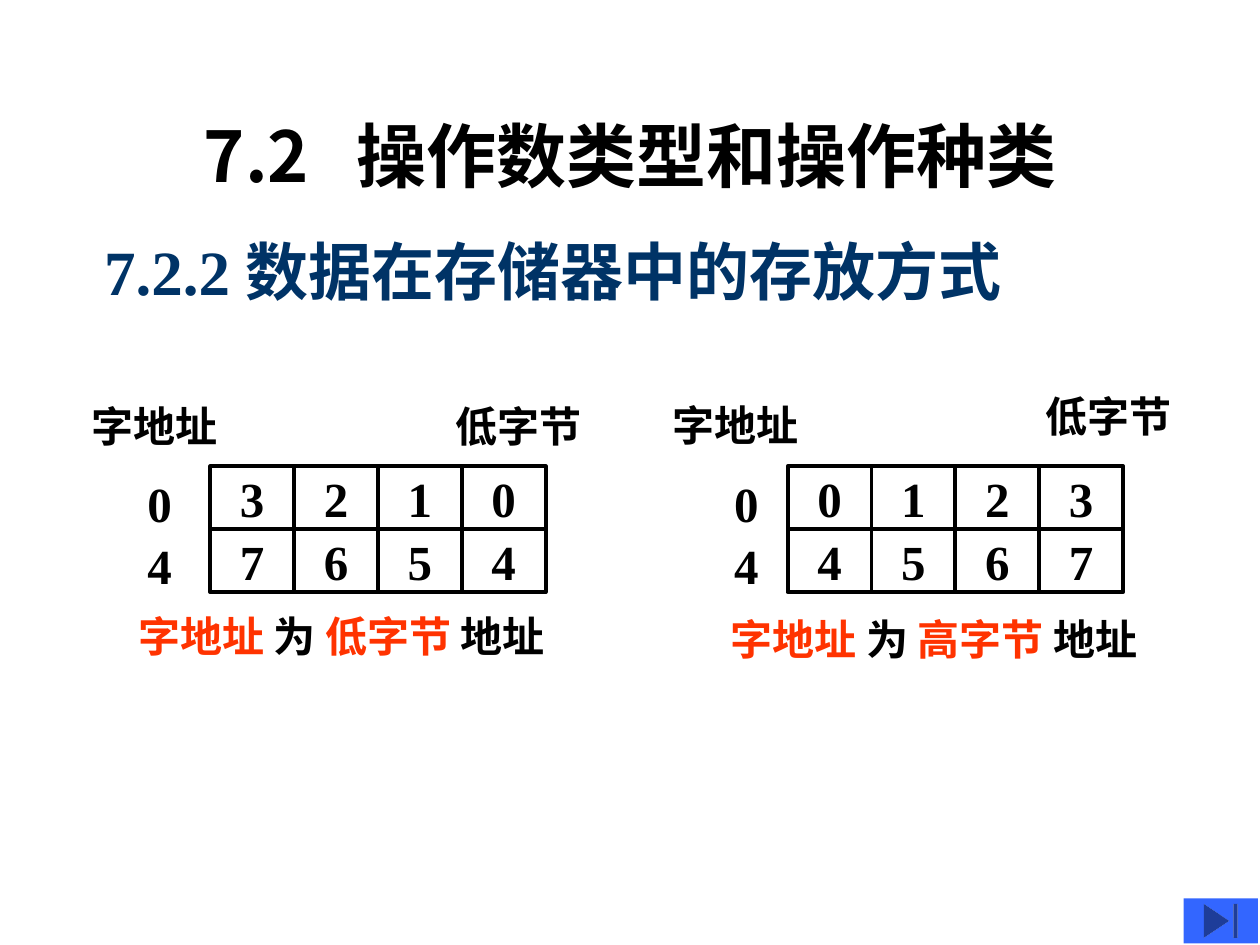
from lxml.etree import SubElement
from pptx import Presentation
from pptx.dml.color import RGBColor
from pptx.enum.shapes import MSO_SHAPE
from pptx.enum.text import MSO_ANCHOR, MSO_AUTO_SIZE, PP_ALIGN
from pptx.oxml.ns import qn
from pptx.util import Cm, Pt

COLORS = {"ink": "000000", "navy": "003366", "red": "FF3300", "blue": "3366FF"}
SERIF = "Times New Roman"
HAN = "Noto Sans CJK SC"
CELL_W, CELL_H = 1.69, 1.27


def color(name):
    return RGBColor.from_string(COLORS[name])


def add_run(para, text, size, font=SERIF, tint="ink"):
    run = para.add_run()
    run.text = text
    run.font.size = Pt(size)
    run.font.bold = True
    run.font.color.rgb = color(tint)
    run.font.name = font
    # East Asian letters take the Han font
    SubElement(run.font._element, qn("a:ea")).set("typeface", HAN)


def place(shape, left, top, width, height):
    shape.left, shape.top = Cm(left), Cm(top)
    shape.width, shape.height = Cm(width), Cm(height)


def add_title(slide, text):
    title = slide.shapes.title
    place(title, 1.9, 1.52, 21.6, 3.18)
    frame = title.text_frame
    frame.vertical_anchor = MSO_ANCHOR.MIDDLE
    para = frame.paragraphs[0]
    para.alignment = PP_ALIGN.CENTER
    add_run(para, text, 40, HAN)


def add_text(shapes, area, lines, size, font=SERIF, wrap=True, space=None):
    """Each line is a list of (text, tint) runs."""
    box = shapes.add_textbox(*map(Cm, area))
    frame = box.text_frame
    frame.word_wrap = wrap
    frame.auto_size = MSO_AUTO_SIZE.SHAPE_TO_FIT_TEXT
    for i, line in enumerate(lines):
        para = frame.add_paragraph() if i else frame.paragraphs[0]
        para.line_spacing = space
        for text, tint in line:
            add_run(para, text, size, font, tint)


def add_cell(shapes, left, top, text):
    cell = shapes.add_shape(MSO_SHAPE.RECTANGLE, Cm(left), Cm(top),
                            Cm(CELL_W), Cm(CELL_H))
    cell.shadow.inherit = False
    cell.fill.background()
    cell.line.color.rgb = color("ink")
    cell.line.width = Pt(2.25)
    frame = cell.text_frame
    frame.word_wrap = False
    frame.vertical_anchor = MSO_ANCHOR.MIDDLE
    para = frame.paragraphs[0]
    para.alignment = PP_ALIGN.CENTER
    add_run(para, text, 28)


def add_words(slide, left, rows, word, index, low):
    """Byte grid with its word addresses; word, index, low are label spots."""
    shapes = slide.shapes.add_group_shape().shapes
    top = 9.4
    for r, row in enumerate(rows):
        for c, digit in enumerate(row):
            add_cell(shapes, left + c * CELL_W, top + r * CELL_H, digit)
    add_text(shapes, (*word, 3.05, 1.27), [[("字地址", "ink")]], 24, wrap=False)
    add_text(shapes, (*index, 0.99, 2.64), [[("0", "ink")], [("4", "ink")]],
             28, wrap=False, space=1.05)
    add_text(shapes, (*low, 3.38, 1.27), [[("低字节", "ink")]], 24)


def add_note(slide, area, end):
    runs = [("字地址 ", "red"), ("为 ", "ink"), (end + " ", "red"), ("地址", "ink")]
    add_text(slide.shapes, area, [runs], 24, HAN)


def add_button(slide):
    button = slide.shapes.add_shape(MSO_SHAPE.ACTION_BUTTON_END, Cm(23.86),
                                    Cm(18.11), Cm(1.5), Cm(0.91))
    button.shadow.inherit = False
    button.fill.solid()
    button.fill.fore_color.rgb = color("blue")
    button.line.fill.background()


def main():
    deck = Presentation()
    deck.slide_width, deck.slide_height = Cm(25.4), Cm(19.05)
    slide = deck.slides.add_slide(deck.slide_layouts[5])

    # Headings
    add_title(slide, "7.2   操作数类型和操作种类")
    add_text(slide.shapes, (1.85, 4.57, 19.63, 1.78),
             [[("7.2.2 数据在存储器中的存放方式", "navy")]], 36)

    # Low byte first, then high byte first
    add_note(slide, (2.54, 12.19, 9.96, 1.27), "低字节")
    add_note(slide, (14.48, 12.24, 11.02, 1.27), "高字节")
    add_words(slide, 4.24, ("3210", "7654"),
              (1.6, 7.95), (2.72, 9.37), (8.94, 7.95))
    add_words(slide, 15.88, ("0123", "4567"),
              (13.31, 7.92), (14.55, 9.37), (20.83, 7.75))

    # Jump to the end
    add_button(slide)
    deck.save("out.pptx")


if __name__ == "__main__":
    main()
